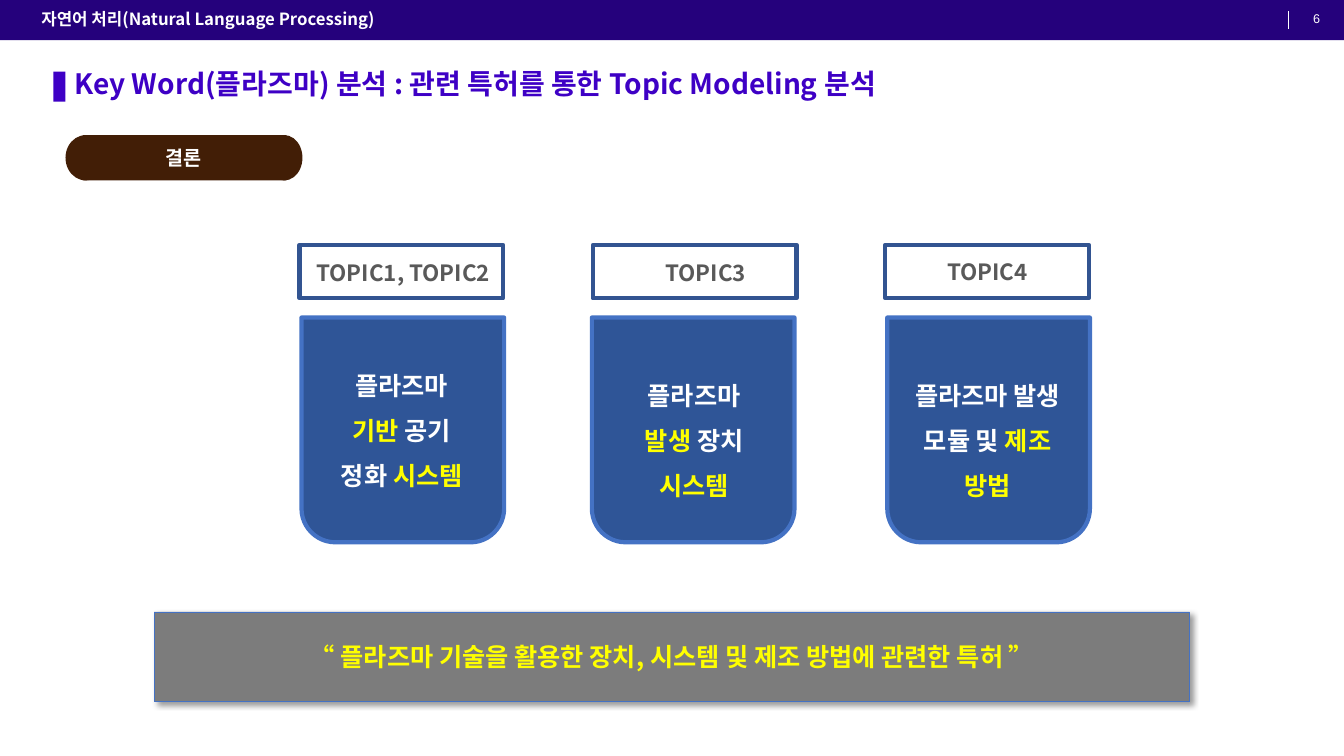
from lxml import etree
from pptx import Presentation
from pptx.dml.color import RGBColor
from pptx.enum import shapes, text
from pptx.oxml import parse_xml
from pptx.oxml.ns import nsdecls, qn
from pptx.util import Inches, Pt

KOREAN = "Noto Sans CJK KR"
WHITE = RGBColor(0xFF, 0xFF, 0xFF)
YELLOW = RGBColor(0xFF, 0xFF, 0x00)
NAVY = RGBColor(0x25, 0x01, 0x7C)
VIOLET = RGBColor(0x3E, 0x00, 0xC5)
BROWN = RGBColor(0x42, 0x1E, 0x06)
GREY = RGBColor(0x7C, 0x7C, 0x7C)
DARK_GREY = RGBColor(0x59, 0x59, 0x59)
FRAME_BLUE = RGBColor(0x32, 0x54, 0x91)
CARD_BLUE = RGBColor(0x2F, 0x55, 0x97)
EDGE_BLUE = RGBColor(0x44, 0x72, 0xC4)

SHAPE = shapes.MSO_SHAPE
CENTER = text.PP_ALIGN.CENTER
MIDDLE = text.MSO_ANCHOR.MIDDLE

# frame left, card left, label box, text box left and top, label, lines of (text, colour)
TOPICS = [
    (2.97, 2.99, (2.99, 2.52, 2.02, 0.37), (3.15, 3.47), "TOPIC1, TOPIC2",
     [[("플라즈마", WHITE)],
      [("기반", YELLOW), (" 공기", WHITE)],
      [("정화 ", WHITE), ("시스템", YELLOW)]]),
    (5.88, 5.87, (6.13, 2.52, 1.74, 0.37), (6.05, 3.57), "TOPIC3",
     [[("플라즈마", WHITE)],
      [("발생 ", YELLOW), ("장치", WHITE)],
      [("시스템", YELLOW)]]),
    (8.78, 8.8, (9.03, 2.51, 1.53, 0.37), (8.96, 3.57), "TOPIC4",
     [[("플라즈마 발생 모듈 및 ", WHITE), ("제조 방법", YELLOW)]]),
]


def write(tf, lines, size, font=KOREAN, bold=True, anchor=text.MSO_ANCHOR.TOP, **para):
    """Fill a text frame with lines, each a list of (text, colour) runs."""
    frame_format = {"word_wrap": True, "auto_size": text.MSO_AUTO_SIZE.NONE,
                    "vertical_anchor": anchor}
    for name, value in frame_format.items():
        setattr(tf, name, value)
    for i, line in enumerate(lines):
        p = tf.add_paragraph() if i else tf.paragraphs[0]
        for name, value in para.items():
            setattr(p, name, value)
        for content, color in line:
            r = p.add_run()
            r.text = content
            for name, value in {"size": Pt(size), "bold": bold, "name": font}.items():
                setattr(r.font, name, value)
            r.font.color.rgb = color
            ea = etree.SubElement(r.font._element, qn("a:ea"))
            ea.set("typeface", font)


def add_text(s, box, lines, size, **options):
    tb = s.shapes.add_textbox(*map(Inches, box))
    write(tb.text_frame, lines, size, **options)


def add_block(parent, kind, box, fill=None, line=None, width=0):
    sp = parent.shapes.add_shape(kind, *map(Inches, box))
    sp.shadow.inherit = False
    if fill is None:
        sp.fill.background()
    else:
        sp.fill.solid()
        sp.fill.fore_color.rgb = fill
    if line is None:
        sp.line.fill.background()
    else:
        sp.line.color.rgb = line
        sp.line.width = Pt(width)
    return sp


def add_header(s):
    add_block(s, SHAPE.RECTANGLE, (0, 0, 13.33, 0.4), NAVY)
    divider = s.shapes.add_connector(
        shapes.MSO_CONNECTOR.STRAIGHT, *map(Inches, (12.78, 0.11, 12.78, 0.29)))
    divider.line.color.rgb = WHITE
    divider.line.width = Pt(0.5)
    etree.SubElement(divider.element.spPr, qn("a:effectLst"))

    title = s.shapes.title
    box = {"left": 0.31, "top": 0, "width": 10.88, "height": 0.4}
    for name, value in box.items():
        setattr(title, name, Inches(value))
    write(title.text_frame, [[("자연어 처리(Natural Language Processing)", WHITE)]], 12,
          anchor=MIDDLE, alignment=text.PP_ALIGN.LEFT, line_spacing=0.9)
    title.element.getparent().append(title.element)  # in front of the bar

    add_text(s, (12.78, -0.02, 0.56, 0.41), [[("6", WHITE)]], 9, font="Arial",
             bold=False, anchor=MIDDLE, alignment=CENTER)


def add_heading(s):
    add_block(s, SHAPE.RECTANGLE, (0.53, 0.71, 0.12, 0.3), VIOLET)
    heading = "Key Word(플라즈마) 분석 : 관련 특허를 통한 Topic Modeling 분석"
    add_text(s, (0.64, 0.65, 10.47, 0.4), [[(heading, VIOLET)]], 20,
             line_spacing=0.9, space_before=Pt(10))


def add_pill(s):
    pill = s.shapes.add_group_shape()
    add_block(pill, SHAPE.RECTANGLE, (0.82, 1.34, 2.02, 0.45), BROWN)
    for left, width in ((0.65, 0.4), (2.64, 0.36)):
        add_block(pill, SHAPE.OVAL, (left, 1.34, width, 0.45), BROWN)
    add_text(s, (0.42, 1.4, 2.81, 0.34), [[("결론", WHITE)]], 14, alignment=CENTER)


def add_topic(s, frame_left, card_left, label_box, text_at, label, lines):
    add_block(s, SHAPE.RECTANGLE, (frame_left, 2.43, 2.02, 0.53), None, FRAME_BLUE, 3)
    add_text(s, label_box, [[(label, DARK_GREY)]], 16, alignment=CENTER)
    card = add_block(s, SHAPE.ROUND_2_SAME_RECTANGLE, (card_left, 3.15, 2.01, 2.23),
                     CARD_BLUE, EDGE_BLUE, 3)
    card.rotation = 180
    add_text(s, (*text_at, 1.67, 1.41), lines, 18, alignment=CENTER, line_spacing=1.5)


def add_shadow(sp):
    effects = sp.element.spPr.find(qn("a:effectLst"))
    effects.append(parse_xml(
        f'<a:outerShdw {nsdecls("a")} blurRad="{Pt(4)}" dist="{Pt(3)}" dir="2700000" '
        'algn="tl" rotWithShape="0"><a:srgbClr val="000000"><a:alpha val="40000"/>'
        '</a:srgbClr></a:outerShdw>'))


def add_conclusion(s):
    banner = add_block(s, SHAPE.RECTANGLE, (1.53, 6.07, 10.27, 0.89), GREY, EDGE_BLUE, 0.5)
    add_shadow(banner)
    tf = banner.text_frame
    for side in ("left", "top", "right", "bottom"):
        setattr(tf, f"margin_{side}", 0)
    quote = "“ 플라즈마 기술을 활용한 장치, 시스템 및 제조 방법에 관련한 특허 ”"
    write(tf, [[(quote, YELLOW)]], 18, anchor=MIDDLE, alignment=CENTER)


def main():
    prs = Presentation()
    prs.slide_width, prs.slide_height = Inches(13.33), Inches(7.5)
    s = prs.slides.add_slide(prs.slide_layouts[5])
    add_header(s)
    add_heading(s)
    add_pill(s)
    for topic in TOPICS:
        add_topic(s, *topic)
    add_conclusion(s)
    prs.save("out.pptx")


if __name__ == "__main__":
    main()
